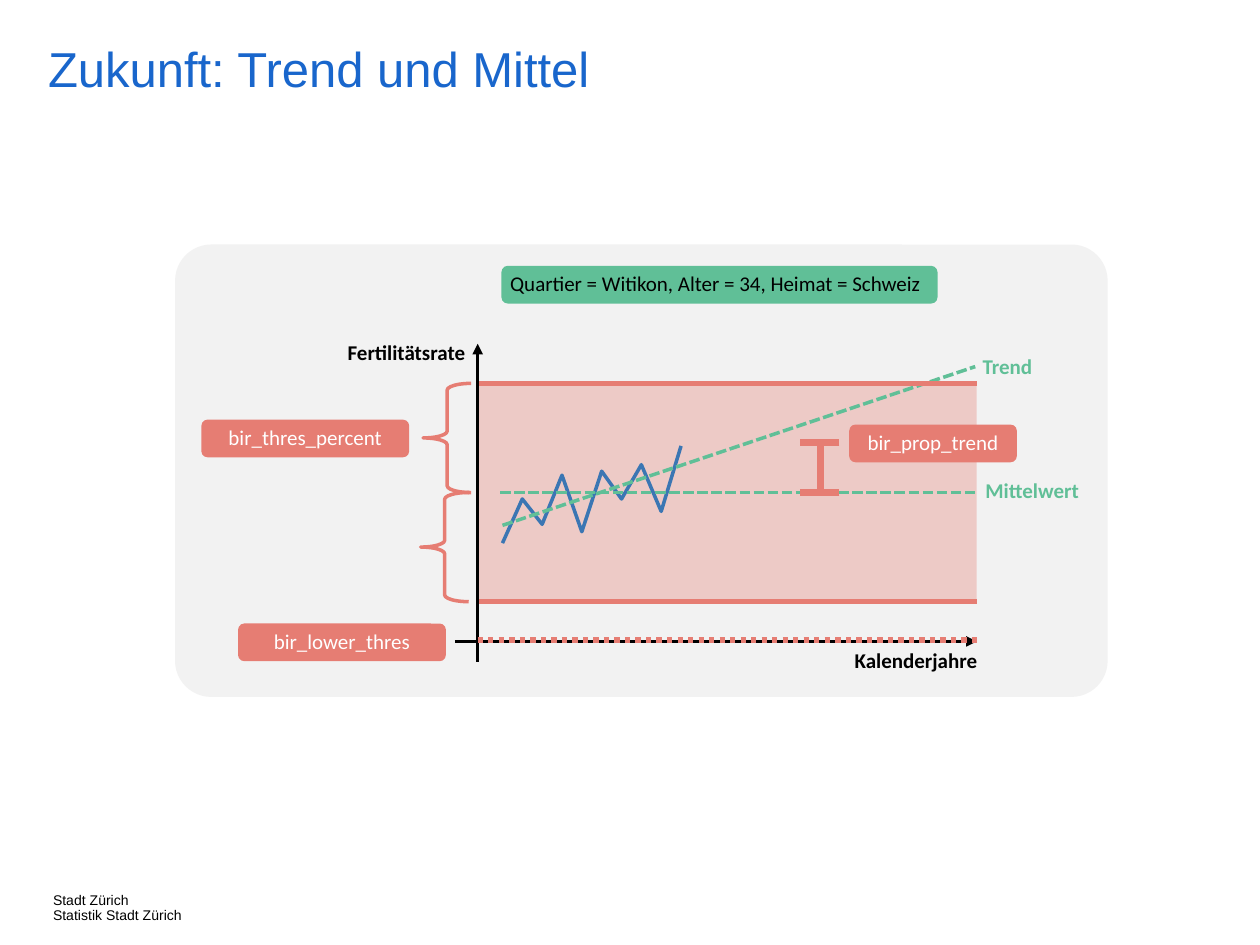
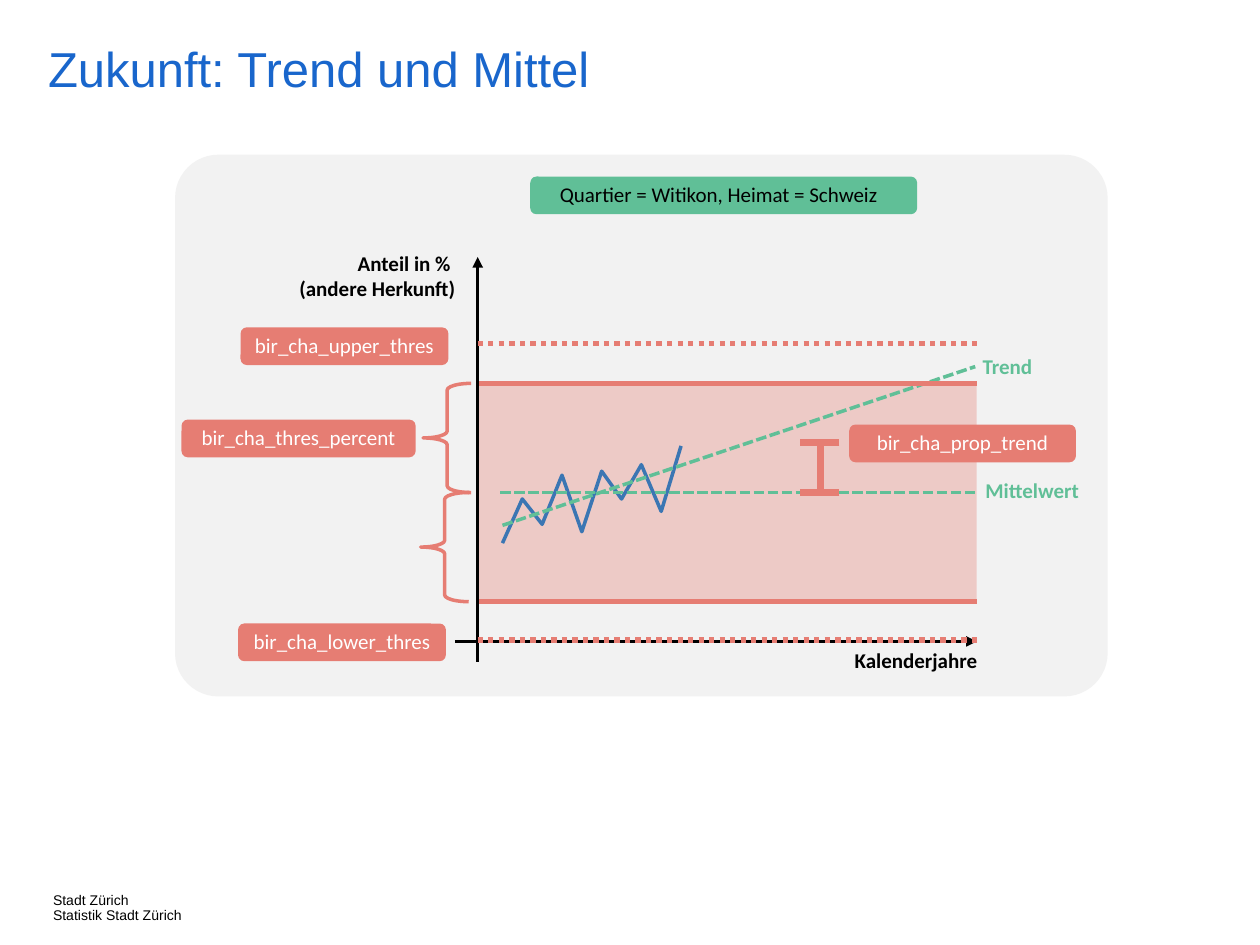
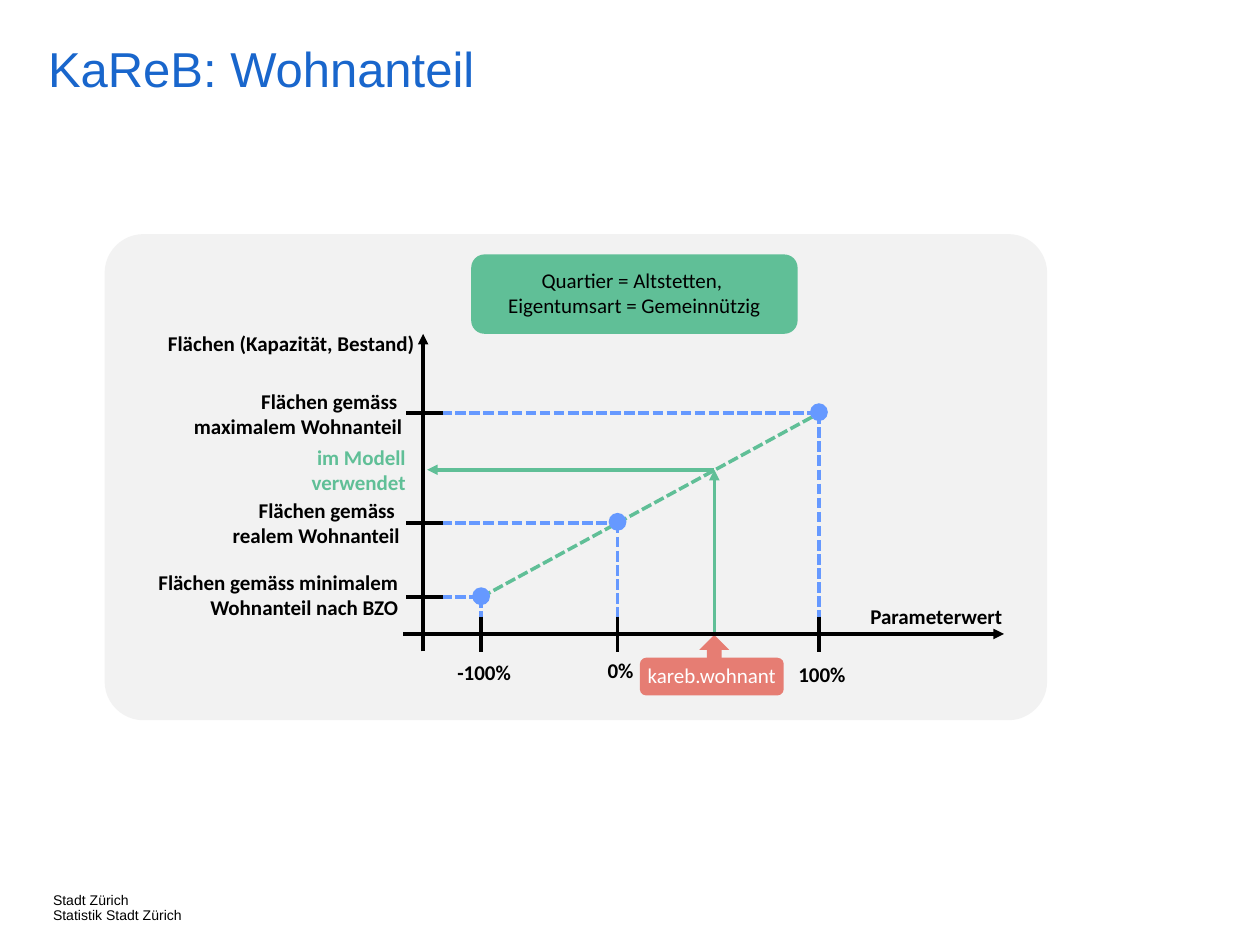
from pptx import Presentation
from pptx.dml.color import RGBColor
from pptx.enum.dml import MSO_LINE
from pptx.enum.shapes import MSO_CONNECTOR, MSO_SHAPE
from pptx.enum.text import MSO_ANCHOR, PP_ALIGN
from pptx.oxml.ns import qn
from pptx.util import Cm, Pt
from lxml.etree import SubElement

# Shared style
BLUE, BLACK, WHITE, GREY = "1966CC", "000000", "FFFFFF", "F2F2F2"
RED, GREEN, CURVE, POINT = "E67D73", "60BF97", "3B76B3", "6699FF"
DASH, DOT = MSO_LINE.SQUARE_DOT, MSO_LINE.ROUND_DOT
LEFT, CENTER, RIGHT = PP_ALIGN.LEFT, PP_ALIGN.CENTER, PP_ALIGN.RIGHT
ROW = 0.76      # height of a one-line label in cm
TWO_ROWS = 1.27


def rgb(color):
    return RGBColor.from_string(color)


# Text
def add_run(p, text, size, color, bold=False, font="Calibri"):
    r = p.add_run()
    r.text = text
    r.font.name, r.font.size, r.font.bold = font, Pt(size), bold
    r.font.color.rgb = rgb(color)


def write_lines(p, lines, color, bold=False, align=CENTER):
    p.alignment = align
    for i, line in enumerate(lines):
        if i:
            p.add_line_break()
        add_run(p, line, 12, color, bold)


def label(s, x, y, w, *lines, color=BLACK, align=RIGHT, h=ROW):
    tf = s.shapes.add_textbox(Cm(x), Cm(y), Cm(w), Cm(h)).text_frame
    tf.word_wrap = True
    write_lines(tf.paragraphs[0], lines, color, True, align)


def arial_block(s, x, y, w, h, lines, size, color, wrap):
    tf = s.shapes.add_textbox(Cm(x), Cm(y), Cm(w), Cm(h)).text_frame
    tf.word_wrap = wrap
    tf.margin_left = tf.margin_right = tf.margin_top = tf.margin_bottom = 0
    for i, line in enumerate(lines):
        p = tf.add_paragraph() if i else tf.paragraphs[0]
        p.line_spacing = 0.9
        add_run(p, line, size, color, font="Arial")


# Shapes
def shape(s, kind, x, y, w, h, fill, alpha=None):
    sp = s.shapes.add_shape(kind, Cm(x), Cm(y), Cm(w), Cm(h))
    sp.shadow.inherit = False
    sp.line.fill.background()
    sp.fill.solid()
    sp.fill.fore_color.rgb = rgb(fill)
    if alpha:
        clr = sp.fill._xPr.find(qn("a:solidFill"))[0]
        SubElement(clr, qn("a:alpha")).set("val", str(alpha * 1000))
    return sp


def pill(s, x, y, w, *lines, fill=RED, color=WHITE, h=ROW, right=0):
    sp = shape(s, MSO_SHAPE.ROUNDED_RECTANGLE, x, y, w, h, fill)
    tf = sp.text_frame
    tf.word_wrap = True
    tf.vertical_anchor = MSO_ANCHOR.MIDDLE
    tf.margin_left = tf.margin_top = 0
    tf.margin_right, tf.margin_bottom = Cm(right), Cm(0.05)
    write_lines(tf.paragraphs[0], lines, color)


def brace(s, x, y, h):
    sp = s.shapes.add_shape(MSO_SHAPE.LEFT_BRACE, Cm(x), Cm(y), Cm(0.97), Cm(h))
    sp.shadow.inherit = False
    sp.adjustments[0] = 0.14
    sp.fill.background()
    sp.line.color.rgb, sp.line.width = rgb(RED), Pt(2)


def line(s, x1, y1, x2, y2, color=BLACK, width=2, dash=None, arrow=False):
    c = s.shapes.add_connector(MSO_CONNECTOR.STRAIGHT, Cm(x1), Cm(y1), Cm(x2), Cm(y2))
    c.line.color.rgb, c.line.width = rgb(color), Pt(width)
    if dash:
        c.line.dash_style = dash
    if arrow:
        SubElement(c.line._get_or_add_ln(), qn("a:tailEnd")).set("type", "triangle")
    SubElement(c._element.spPr, qn("a:effectLst"))


def polyline(s, points, color):
    points = [(Cm(x), Cm(y)) for x, y in points]
    builder = s.shapes.build_freeform(*points[0])
    builder.add_line_segments(points[1:], close=False)
    sp = builder.convert_to_shape()
    sp.shadow.inherit = False
    sp.fill.background()
    sp.line.color.rgb, sp.line.width = rgb(color), Pt(2)


# Slide frame: footer, title and grey panel
def new_slide(prs, title, x, y, w, h):
    s = prs.slides.add_slide(prs.slide_layouts[6])
    arial_block(s, 1.07, 18.01, 3.33, 0.51,
                ["Stadt Zürich", "Statistik Stadt Zürich"], 8, BLACK, False)
    arial_block(s, 0.97, 0.91, 21.34, 1.63, [title], 28, BLUE, True)
    panel = shape(s, MSO_SHAPE.ROUNDED_RECTANGLE, x, y, w, h, GREY)
    panel.adjustments[0] = 0.08
    return s


# Trend diagram shared by the first two slides
def trend_diagram(s, axis_top):
    left, right = 9.6, 19.69
    top, mean, bottom, zero = 7.73, 9.93, 12.13, 12.93
    shape(s, MSO_SHAPE.RECTANGLE, left, top, right - left, bottom - top, RED, 34)
    line(s, 9.17, zero, right, zero, arrow=True)
    label(s, 16.89, zero, 3.15, "Kalenderjahre", align=CENTER)

    # Observed rates, mean and trend
    rates = [10.95, 10.06, 10.57, 9.58, 10.72, 9.5, 10.06, 9.37, 10.31, 8.99]
    polyline(s, [(10.13 + 0.4 * i, y) for i, y in enumerate(rates)], CURVE)
    line(s, 10.08, mean, right, mean, GREEN, dash=DASH)
    label(s, 18.85, 9.5, 3.15, "Mittelwert", color=GREEN)
    line(s, 10.13, 10.59, 19.66, 7.39, GREEN, dash=DASH)
    label(s, 19.43, 7.01, 1.63, "Trend", color=GREEN)

    # Limits around the mean
    for y in (bottom, top):
        line(s, left, y, right, y, RED, 3)
    line(s, 9.63, 13.34, 9.63, axis_top, arrow=True)
    brace(s, 8.53, top, mean - top)
    brace(s, 8.48, mean, bottom - mean)

    # Span between mean and trend
    span_top = 8.92
    line(s, 16.54, span_top, 16.54, mean, RED, 4)
    for y in (span_top, mean):
        line(s, 16.92, y, 16.13, y, RED, 4)
    threshold(s, 12.9)


def threshold(s, y):
    line(s, 9.63, y, 19.71, y, RED, 3, DOT)


def fertility_slide(prs):
    s = new_slide(prs, "Zukunft: Trend und Mittel", 3.53, 4.93, 18.8, 9.12)
    trend_diagram(s, axis_top=6.93)
    label(s, 6.48, 6.73, 3.15, "Fertilitätsrate")
    pill(s, 10.11, 5.36, 8.79, "Quartier = Witikon, Alter = 34, Heimat = Schweiz",
         fill=GREEN, color=BLACK, right=0.16)
    pill(s, 4.06, 8.46, 4.19, "bir_thres_percent")
    pill(s, 17.12, 8.56, 3.38, "bir_prop_trend")
    pill(s, 4.8, 12.57, 4.19, "bir_lower_thres")


def share_slide(prs):
    s = new_slide(prs, "Zukunft: Trend und Mittel", 3.53, 3.12, 18.8, 10.92)
    trend_diagram(s, axis_top=5.18)
    threshold(s, 6.93)
    label(s, 3.51, 4.93, 5.92, "Anteil in % ", "(andere Herkunft)", h=TWO_ROWS)
    pill(s, 10.69, 3.56, 7.8, "Quartier = Witikon, Heimat = Schweiz",
         fill=GREEN, color=BLACK, right=0.2)
    pill(s, 3.66, 8.46, 4.72, "bir_cha_thres_percent")
    pill(s, 17.12, 8.56, 4.57, "bir_cha_prop_trend")
    pill(s, 4.8, 12.57, 4.19, "bir_cha_lower_thres")
    pill(s, 4.85, 6.6, 4.19, "bir_cha_upper_thres")


def housing_slide(prs):
    s = new_slide(prs, "KaReB: Wohnanteil", 2.11, 4.72, 19, 9.8)
    axis_x, axis_y = 8.53, 12.78
    pill(s, 9.5, 5.13, 6.58, "Quartier = Altstetten, ", "Eigentumsart = Gemeinnützig",
         fill=GREEN, color=BLACK, h=1.6)

    # Axes
    line(s, axis_x, 13.13, axis_x, 6.73, arrow=True)
    label(s, 2.62, 6.53, 5.99, "Flächen (Kapazität, Bestand)")
    label(s, 16.87, 12.04, 4.01, "Parameterwert", align=CENTER)

    # Known points with guides, ticks and values
    points = [(9.7, 12.04, "-100%", 13.18),
              (12.45, 10.54, "0%", 13.13),
              (16.51, 8.33, "100%", 13.21)]
    line(s, *points[0][:2], *points[-1][:2], GREEN, dash=DASH)
    for x, y, value, value_y in points:
        line(s, 8.61, y, x, y, POINT, dash=DASH)
        line(s, x, y, x, 12.75, POINT, dash=DASH)
        line(s, 8.94, y, 8.18, y)
        line(s, x, 12.43, x, 13.15)
        shape(s, MSO_SHAPE.OVAL, x - 0.18, y - 0.2, 0.36, 0.36, POINT)
        label(s, x - 1.02, value_y, 2.16, value, align=CENTER)

    # Parameter and the area it leads to
    param_x, area_y = 14.4, 9.47
    line(s, param_x, 12.8, param_x, area_y, GREEN, arrow=True)
    line(s, param_x, area_y, 8.61, area_y, GREEN, arrow=True)
    shape(s, MSO_SHAPE.UP_ARROW, param_x - 0.3, 12.8, 0.6, 0.71, RED)
    pill(s, 12.9, 13.26, 2.9, "kareb.wohnant")
    line(s, 8.13, axis_y, 20.24, axis_y, arrow=True)

    # Area labels
    label(s, 2.31, 7.7, 6.05, "Flächen gemäss ", "maximalem Wohnanteil", h=TWO_ROWS)
    label(s, 5.94, 8.84, 2.49, "im Modell verwendet", color=GREEN, h=TWO_ROWS)
    label(s, 2.26, 9.91, 6.05, "Flächen gemäss ", "realem Wohnanteil", h=TWO_ROWS)
    label(s, 2.49, 11.35, 5.79, "Flächen gemäss minimalem Wohnanteil nach BZO", h=TWO_ROWS)


def main():
    prs = Presentation()
    prs.slide_width, prs.slide_height = Cm(25.4), Cm(19.05)
    fertility_slide(prs)
    share_slide(prs)
    housing_slide(prs)
    prs.save("out.pptx")


if __name__ == "__main__":
    main()
